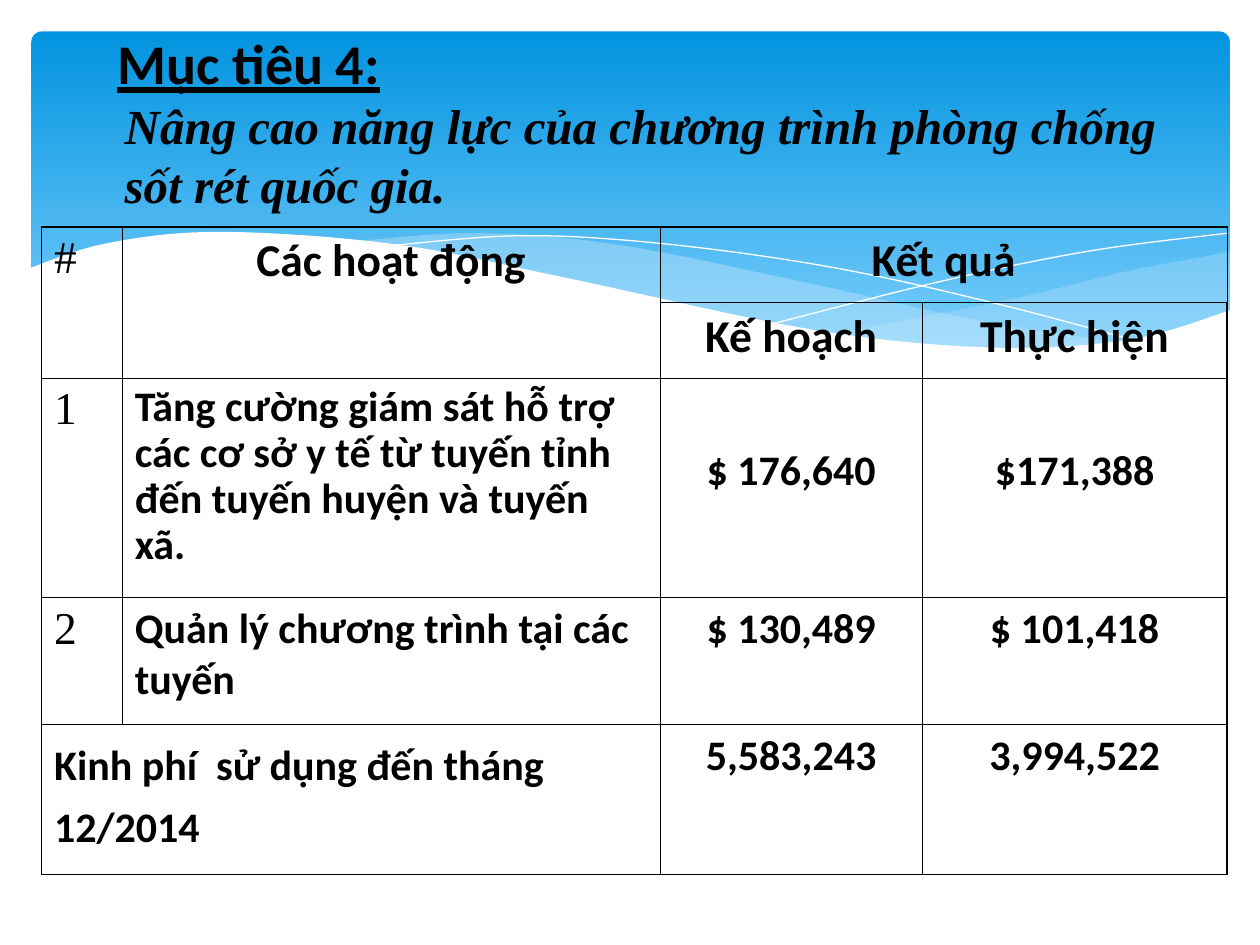
"""Build the slide on objective 4: activities with planned and actual spending."""
import pptx
import pptx.dml.color
import pptx.enum.shapes
import pptx.enum.text
import pptx.oxml
import pptx.oxml.ns
import pptx.util
from pptx.dml.color import RGBColor
from pptx.util import Inches, Pt

BLACK = RGBColor(0x00, 0x00, 0x00)
WHITE = RGBColor(0xFF, 0xFF, 0xFF)
PALE_BLUE = RGBColor(0xC6, 0xE7, 0xFC)
SKY_TOP = RGBColor(0x02, 0x93, 0xE0)
SKY_BOTTOM = RGBColor(0x83, 0xD3, 0xFE)
SERIF, SANS = "Times New Roman", "Calibri"
LEFT, CENTER = pptx.enum.text.PP_ALIGN.LEFT, pptx.enum.text.PP_ALIGN.CENTER

HEADING = "Mục tiêu 4:"
SUBHEADING = "Nâng cao năng lực của chương trình phòng chống sốt rét quốc gia."

COLUMN_WIDTHS = [0.64, 4.27, 2.08, 2.42]
ROW_HEIGHTS = [0.6, 0.6, 1.74, 1.01, 1.19]
ROWS = [
    ["#", "Các hoạt động", "Kết quả", ""],
    ["", "", "Kế hoạch", "Thực hiện"],
    ["1", "Tăng cường giám sát hỗ trợ các cơ sở y tế từ tuyến tỉnh đến tuyến huyện và tuyến xã.",
     "$ 176,640", "$171,388"],
    ["2", "Quản lý chương trình tại các tuyến", "$ 130,489", "$ 101,418"],
    ["Kinh phí  sử dụng đến tháng 12/2014", "", "5,583,243", "3,994,522"],
]
MERGES = [((0, 0), (1, 0)), ((0, 1), (1, 1)), ((0, 2), (0, 3)), ((4, 0), (4, 1))]
HEADER_ROWS, TOTAL_ROW = 2, 4
LINE_SPACINGS = {(2, 1): 0.9, (4, 0): 1.2}
TOP_MARGINS = {(2, 2): 0.54, (2, 3): 0.54}
THIN, THICK = 0.45, 1.08

WAVES = [
    {"edges": [[(9.76, 2), (8.91, 2.16), (8.05, 2.37), (6.61, 2.65)],
               [(6.61, 2.65), (7.45, 2.75), (8.35, 2.77), (9.13, 2.67), (9.76, 2.47)]],
     "color": PALE_BLUE, "opacity": 29},
    {"edges": [[(8.93, 2.73), (7.75, 2.54), (6.29, 2.22), (4.89, 1.94), (3.8, 1.85), (2.86, 1.91)],
               [(2.86, 1.91), (4.04, 2.11), (5.66, 2.48), (6.95, 2.7), (7.96, 2.79), (8.93, 2.73)]],
     "color": PALE_BLUE, "opacity": 40},
    {"edges": [[(3.09, 1.95), (4.16, 1.87), (5.32, 1.94), (6.65, 2.13), (7.95, 2.42), (9.07, 2.72)]],
     "color": None},
    {"edges": [[(6.13, 2.57), (7.48, 2.23), (8.66, 1.99), (9.75, 1.85)]], "color": None},
    {"edges": [[(9.77, 2.46), (8.99, 2.69), (7.93, 2.76), (6.47, 2.62), (4.47, 2.2),
                (3.15, 1.94), (1.76, 1.84), (0.85, 1.93), (0.23, 2.13)],
               [(0.23, 3.29), (9.77, 3.29)]],
     "color": WHITE, "opacity": 100},
]
CURVE_STEPS = 8


def smooth(keys):
    """Return points in EMU on a Catmull-Rom curve through the key points."""
    padded = [keys[0], *keys, keys[-1]]
    points = [keys[0]]
    for a, b, c, d in zip(padded, padded[1:], padded[2:], padded[3:]):
        for step in range(1, CURVE_STEPS + 1):
            t = step / CURVE_STEPS
            points.append(tuple(
                q + t * (r - p) / 2 + t**2 * (2 * p - 5 * q + 4 * r - s) / 2
                + t**3 * (3 * q - p - 3 * r + s) / 2
                for p, q, r, s in zip(a, b, c, d)))
    return [(Inches(x), Inches(y)) for x, y in points]


def add_sky(slide):
    sky = slide.shapes.add_shape(pptx.enum.shapes.MSO_SHAPE.ROUNDED_RECTANGLE,
                                 Inches(0.25), Inches(0.25), Inches(9.51), Inches(2.7))
    sky.adjustments[0] = 0.03
    sky.shadow.inherit = False
    sky.line.fill.background()
    sky.fill.gradient()
    sky.fill.gradient_angle = 270
    for stop, color in zip(sky.fill.gradient_stops, (SKY_TOP, SKY_BOTTOM)):
        stop.color.rgb = color


def add_wave(slide, edges, color, opacity=100):
    points = [point for edge in edges for point in smooth(edge)]
    builder = slide.shapes.build_freeform(*points[0])
    builder.add_line_segments(points[1:], close=color is not None)
    wave = builder.convert_to_shape()
    wave.shadow.inherit = False
    if color is None:
        wave.fill.background()
        wave.line.color.rgb = WHITE
        wave.line.width = Pt(0)
        return
    wave.line.fill.background()
    wave.fill.solid()
    wave.fill.fore_color.rgb = color
    if opacity < 100:
        color_element = wave.element.spPr.find(".//" + pptx.oxml.ns.qn("a:srgbClr"))
        color_element.append(pptx.oxml.parse_xml(
            f'<a:alpha {pptx.oxml.ns.nsdecls("a")} val="{opacity * 1000}"/>'))


def fill_title(slide):
    title = slide.shapes.title
    slide.shapes.element.append(title.element)
    title.left, title.top = Inches(0.83), Inches(0.67)
    title.width, title.height = Inches(8.75), Inches(0.58)
    frame = title.text_frame
    frame.auto_size = pptx.enum.text.MSO_AUTO_SIZE.NONE
    frame.vertical_anchor = pptx.enum.text.MSO_ANCHOR.MIDDLE
    paragraph = frame.paragraphs[0]
    properties = paragraph._p.get_or_add_pPr()
    properties.set("marL", str(Inches(0.06)))
    properties.set("indent", str(Inches(-0.06)))
    paragraph.alignment = LEFT
    paragraph.font.bold = True
    paragraph.font.color.rgb = BLACK
    heading = paragraph.add_run()
    heading.text = HEADING
    heading.font.name, heading.font.size, heading.font.underline = SANS, Pt(32), True
    paragraph.add_line_break()
    subheading = paragraph.add_run()
    subheading.text = SUBHEADING
    subheading.font.name, subheading.font.size, subheading.font.italic = SERIF, Pt(28), True


def set_borders(cell, widths):
    properties = cell._tc.get_or_add_tcPr()
    for position, (side, width) in enumerate(widths.items()):
        properties.insert(position, pptx.oxml.parse_xml(
            f'<a:ln{side} {pptx.oxml.ns.nsdecls("a")} w="{int(Pt(width))}"><a:solidFill>'
            f'<a:srgbClr val="{BLACK}"/></a:solidFill></a:ln{side}>'))


def format_cell(cell, row, column, text):
    cell.fill.background()
    set_borders(cell, {
        "L": THICK if column == 0 else THIN,
        "R": THICK if column == len(COLUMN_WIDTHS) - 1 else THIN,
        "T": THICK if row == 0 else THIN,
        "B": THIN,
    })
    if not text:
        return
    cell.margin_top = Inches(TOP_MARGINS.get((row, column), 0.05))
    cell.text = text
    is_number = column == 0 and row != TOTAL_ROW
    is_header = row < HEADER_ROWS
    paragraph = cell.text_frame.paragraphs[0]
    centered = column > 1 or (is_header and column == 1)
    paragraph.alignment = CENTER if centered else LEFT
    paragraph.line_spacing = LINE_SPACINGS.get((row, column), 1.0)
    paragraph.font.name = SERIF if is_number else SANS
    paragraph.font.size = Pt(26 if is_number or is_header else 24)
    paragraph.font.bold = not is_number
    paragraph.font.color.rgb = BLACK


def add_budget_table(slide):
    table = slide.shapes.add_table(
        len(ROWS), len(COLUMN_WIDTHS), Inches(0.33), Inches(1.8),
        Inches(sum(COLUMN_WIDTHS)), Inches(sum(ROW_HEIGHTS))).table
    table.first_row = table.horz_banding = False
    for column, width in zip(table.columns, COLUMN_WIDTHS):
        column.width = Inches(width)
    for row, height in zip(table.rows, ROW_HEIGHTS):
        row.height = Inches(height)
    for first, last in MERGES:
        table.cell(*first).merge(table.cell(*last))
    for row, texts in enumerate(ROWS):
        for column, text in enumerate(texts):
            format_cell(table.cell(row, column), row, column, text)


def main():
    presentation = pptx.Presentation()
    presentation.slide_width, presentation.slide_height = Inches(10), Inches(7.5)
    slide = presentation.slides.add_slide(presentation.slide_layouts[5])
    add_sky(slide)
    for wave in WAVES:
        add_wave(slide, **wave)
    add_budget_table(slide)
    fill_title(slide)
    presentation.save("out.pptx")


if __name__ == "__main__":
    main()
